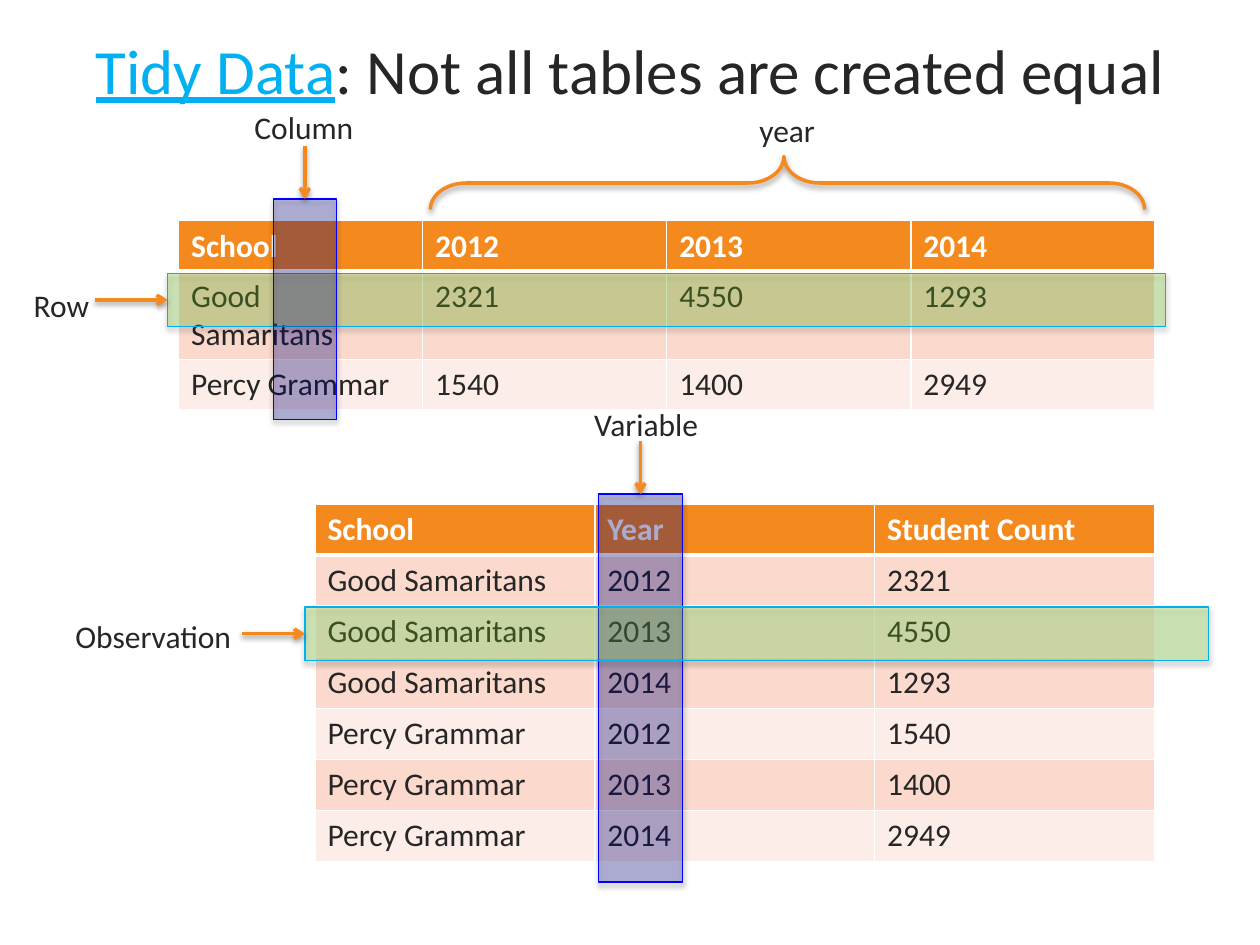
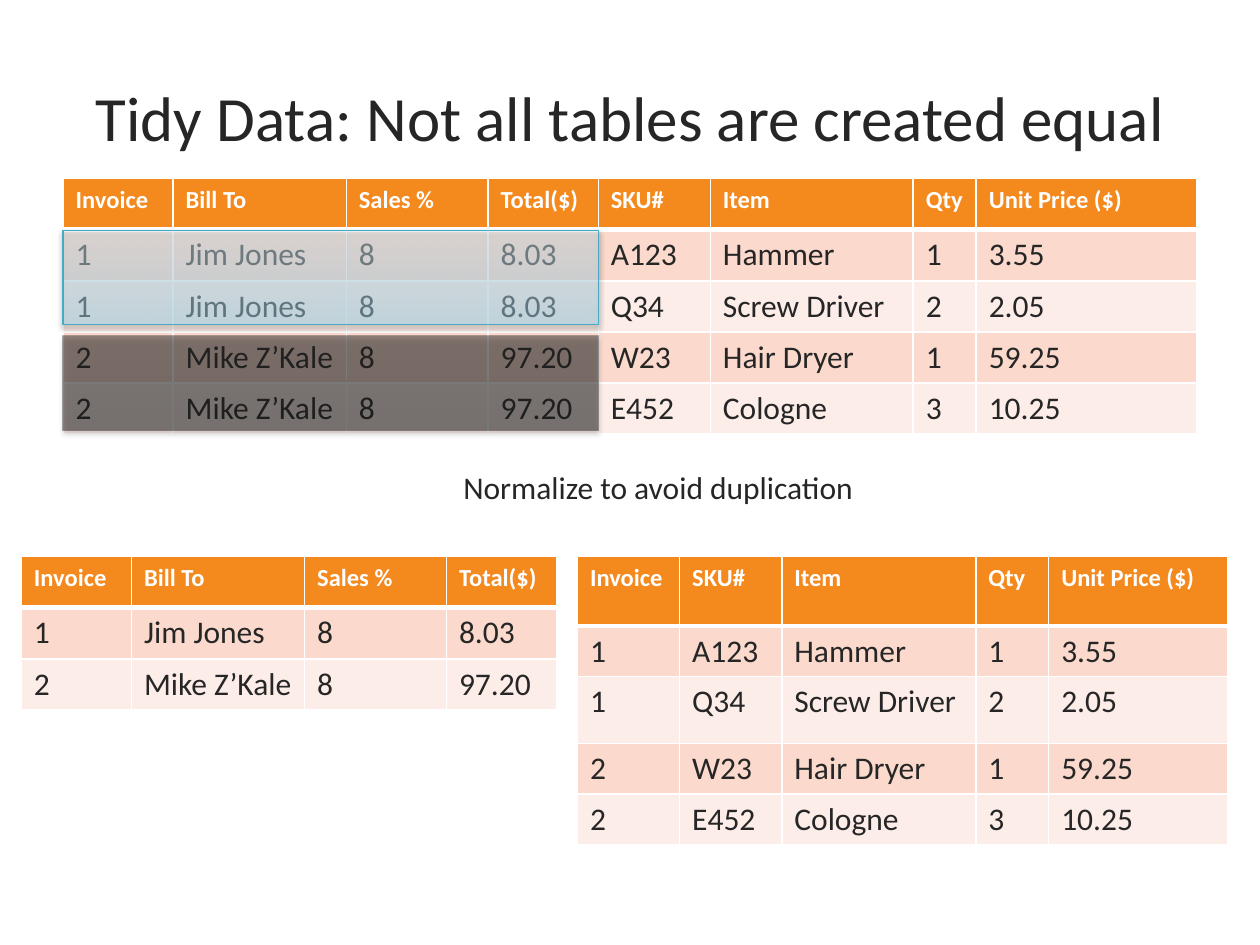
from dataclasses import dataclass
from typing import Optional, Sequence

from lxml.etree import SubElement
from pptx import Presentation
from pptx.dml.color import RGBColor
from pptx.enum.shapes import MSO_CONNECTOR as Connector, MSO_SHAPE as Preset
from pptx.enum.text import MSO_ANCHOR as Anchor, MSO_AUTO_SIZE as AutoSize, PP_ALIGN as Align
from pptx.oxml.ns import qn
from pptx.util import Cm, Pt

FONT = "Calibri"
INK, WHITE, ORANGE, SKY = "262626", "FFFFFF", "F4891E", "00B0F0"
BANDS = ("FBDACD", "FDEDE8")
ROW_HEIGHT = 1.03
TOP, LEFT = 0, 1

SCHOOL_HEADER = ("School", "2012", "2013", "2014")
SCHOOLS = (
    ("Good Samaritans", "2321", "4550", "1293"),
    ("Percy Grammar", "1540", "1400", "2949"),
)
INVOICE_HEADER = ("Invoice", "Bill To", "Sales %", "Total($)")
INVOICES = (
    ("1", "Jim Jones", "8", "8.03"),
    ("2", "Mike Z’Kale", "8", "97.20"),
)
ITEM_HEADER = ("Invoice", "SKU#", "Item", "Qty", "Unit Price ($)")
ITEMS = (
    ("1", "A123", "Hammer", "1", "3.55"),
    ("1", "Q34", "Screw Driver", "2", "2.05"),
    ("2", "W23", "Hair Dryer", "1", "59.25"),
    ("2", "E452", "Cologne", "3", "10.25"),
)
INVOICE_WIDTHS = (2.22, 3.49, 2.86, 2.22)


@dataclass(frozen=True)
class Box:
    left: float
    top: float
    width: float
    height: float

    def lengths(self) -> tuple:
        return Cm(self.left), Cm(self.top), Cm(self.width), Cm(self.height)


@dataclass(frozen=True)
class Shadow:
    opacity: int
    distance: float


@dataclass(frozen=True)
class Tint:
    stops: Sequence[tuple]
    opacity: int
    line: Optional[str]
    shadow: Shadow


@dataclass(frozen=True)
class Marker:
    box: Box
    tint: Tint
    side: int
    arrow_length: float
    label: str
    label_box: Box


LINE_SHADOW, FILL_SHADOW = Shadow(38, 1.6), Shadow(35, 1.8)
ROW_TINT = Tint([(0, "7BCF27")], 27, SKY, FILL_SHADOW)
COLUMN_TINT = Tint([(0, "000090")], 26, "0000FF", FILL_SHADOW)
FIRST_INVOICE_TINT = Tint([(0, "A7E6FF"), (35, "C1EDFF"), (100, "E7F8FF")], 43, "46AAC5", LINE_SHADOW)
SECOND_INVOICE_TINT = Tint([(0, "1C1C1C"), (80, "252525"), (100, "252525")], 50, None, FILL_SHADOW)

MARKERS = (
    Marker(Box(3.38, 5.51, 20.12, 1.07), ROW_TINT, LEFT, 1.47, "Row", Box(0.43, 5.64, 1.65, 1.02)),
    Marker(Box(12.06, 9.96, 1.7, 7.82), COLUMN_TINT, TOP, 1.07, "Variable", Box(11.73, 8.05, 2.67, 1.02)),
    Marker(Box(6.15, 12.24, 18.21, 1.07), ROW_TINT, LEFT, 1.27, "Observation", Box(1.27, 12.32, 3.71, 1.02)),
    Marker(Box(5.51, 4.01, 1.27, 4.45), COLUMN_TINT, TOP, 1.07, "Column", Box(4.88, 2.06, 2.51, 1.12)),
)


def colour(value: str) -> RGBColor:
    return RGBColor.from_string(value)


def add_run(paragraph, text: str, *, size=18, color=INK, bold=False, underline=False) -> None:
    run = paragraph.add_run()
    run.text = text
    font = run.font
    font.name, font.size, font.bold, font.underline = FONT, Pt(size), bold, underline
    font.color.rgb = colour(color)


def add_label(slide, box: Box, text: str) -> None:
    frame = slide.shapes.add_textbox(*box.lengths()).text_frame
    frame.word_wrap = False
    frame.auto_size = AutoSize.SHAPE_TO_FIT_TEXT
    add_run(frame.paragraphs[0], text)


def add_title(slide, top: float, subject_format: dict) -> None:
    frame = slide.shapes.add_textbox(*Box(1.27, top, 22.86, 3.18).lengths()).text_frame
    frame.word_wrap = True
    frame.vertical_anchor = Anchor.MIDDLE
    paragraph = frame.paragraphs[0]
    paragraph.alignment = Align.CENTER
    add_run(paragraph, "Tidy Data", size=36, **subject_format)
    add_run(paragraph, ": Not all tables are created equal", size=36)


def add_colour(parent, value: str, opacity: int) -> None:
    element = SubElement(parent, qn("a:srgbClr"), val=value)
    SubElement(element, qn("a:alpha"), val=str(opacity * 1000))


def add_shadow(shape, shadow: Shadow) -> None:
    effects = SubElement(shape.element.spPr, qn("a:effectLst"))
    outer = SubElement(
        effects, qn("a:outerShdw"), blurRad=str(Pt(3.1)), dist=str(Pt(shadow.distance)),
        dir="5400000", rotWithShape="0",
    )
    add_colour(outer, "000000", shadow.opacity)


def set_line(shape, color: str, width: float) -> None:
    shape.line.color.rgb = colour(color)
    shape.line.width = Pt(width)


def add_overlay(slide, box: Box, tint: Tint):
    shape = slide.shapes.add_shape(Preset.RECTANGLE, *box.lengths())
    properties = shape.element.spPr
    if len(tint.stops) == 1:
        shape.fill.solid()
        shape.fill.fore_color.rgb = colour(tint.stops[0][1])
        fill_colour = properties.find(f"{qn('a:solidFill')}/{qn('a:srgbClr')}")
        SubElement(fill_colour, qn("a:alpha"), val=str(tint.opacity * 1000))
    else:
        shape.fill.gradient()
        shape.fill.gradient_angle = 90
        stop_list = properties.find(f"{qn('a:gradFill')}/{qn('a:gsLst')}")
        for stop in list(stop_list):
            stop_list.remove(stop)
        for position, value in tint.stops:
            add_colour(SubElement(stop_list, qn("a:gs"), pos=str(position * 1000)), value, tint.opacity)
    if tint.line:
        set_line(shape, tint.line, 0.75)
    else:
        shape.line.fill.background()
    add_shadow(shape, tint.shadow)
    return shape


def add_marker(slide, marker: Marker) -> None:
    box = marker.box
    overlay = add_overlay(slide, box, marker.tint)
    if marker.side == TOP:
        end_x, end_y = box.left + box.width / 2, box.top
        start_x, start_y = end_x, end_y - marker.arrow_length
    else:
        end_x, end_y = box.left, box.top + box.height / 2
        start_x, start_y = end_x - marker.arrow_length, end_y
    arrow = slide.shapes.add_connector(
        Connector.STRAIGHT, Cm(start_x), Cm(start_y), Cm(end_x), Cm(end_y)
    )
    arrow.end_connect(overlay, marker.side)
    set_line(arrow, ORANGE, 2)
    SubElement(arrow.element.spPr.find(qn("a:ln")), qn("a:tailEnd"), type="arrow")
    add_shadow(arrow, LINE_SHADOW)
    add_label(slide, marker.label_box, marker.label)


def add_year_brace(slide) -> None:
    brace = slide.shapes.add_shape(Preset.LEFT_BRACE, *Box(15.34, -3.51, 1.07, 14.4).lengths())
    brace.rotation = 90
    brace.adjustments[0], brace.adjustments[1] = 0.673, 0.505
    brace.fill.background()
    set_line(brace, ORANGE, 2)
    add_shadow(brace, LINE_SHADOW)
    add_label(slide, Box(15.06, 2.11, 1.65, 1.02), "year")


def set_borders(cell, row_index: int) -> None:
    properties = cell._tc.get_or_add_tcPr()
    widths = {"L": 1, "R": 1, "T": 3 if row_index == 1 else 1, "B": 3 if row_index == 0 else 1}
    for side, width in widths.items():
        line = SubElement(properties, qn(f"a:ln{side}"), w=str(Pt(width)))
        SubElement(SubElement(line, qn("a:solidFill")), qn("a:srgbClr"), val=WHITE)


def add_data_table(
    slide, left: float, top: float, widths: Sequence[float], heights: Sequence[float],
    rows: Sequence[Sequence[str]], header_size: int = 18,
) -> None:
    box = Box(left, top, sum(widths), sum(heights))
    table = slide.shapes.add_table(len(rows), len(widths), *box.lengths()).table
    for column, width in zip(table.columns, widths):
        column.width = Cm(width)
    for row_index, (row, height, texts) in enumerate(zip(table.rows, heights, rows)):
        row.height = Cm(height)
        is_header = row_index == 0
        for cell, text in zip(row.cells, texts):
            set_borders(cell, row_index)
            cell.fill.solid()
            cell.fill.fore_color.rgb = colour(ORANGE if is_header else BANDS[(row_index - 1) % 2])
            add_run(
                cell.text_frame.paragraphs[0], text, bold=is_header,
                size=header_size if is_header else 18, color=WHITE if is_header else INK,
            )


def build_tidy_slide(slide) -> None:
    add_title(slide, -0.2, {"color": SKY, "underline": True})
    add_data_table(slide, 3.6, 4.45, [4.92] * 4, (0.79, 1.37, 0.79), [SCHOOL_HEADER, *SCHOOLS])
    add_year_brace(slide)
    tidy_rows = [("School", "Year", "Student Count")] + [
        (school, year, count)
        for school, *counts in SCHOOLS
        for year, count in zip(SCHOOL_HEADER[1:], counts)
    ]
    add_data_table(slide, 6.35, 10.16, [5.64] * 3, [ROW_HEIGHT] * 7, tidy_rows)
    for marker in MARKERS:
        add_marker(slide, marker)


def build_normalize_slide(slide) -> None:
    add_title(slide, 0.76, {})
    invoice_by_number = {invoice[0]: invoice for invoice in INVOICES}
    joined_rows = [INVOICE_HEADER + ITEM_HEADER[1:]] + [
        invoice_by_number[number] + tuple(details) for number, *details in ITEMS
    ]
    joined_widths = INVOICE_WIDTHS + (2.26, 4.09, 1.27, 4.45)
    add_data_table(slide, 1.27, 3.6, joined_widths, [ROW_HEIGHT] * 5, joined_rows, 14)
    for top, tint in ((4.65, FIRST_INVOICE_TINT), (6.77, SECOND_INVOICE_TINT)):
        add_overlay(slide, Box(1.27, top, sum(INVOICE_WIDTHS), 1.9), tint)
    add_data_table(
        slide, 0.43, 11.22, INVOICE_WIDTHS, [ROW_HEIGHT] * 3, [INVOICE_HEADER, *INVOICES], 14
    )
    add_data_table(
        slide, 11.64, 11.22, (2.06, 2.06, 3.91, 1.47, 3.61), (1.4, 0.99, 1.35, 0.99, 0.99),
        [ITEM_HEADER, *ITEMS], 14,
    )
    add_label(slide, Box(9.09, 9.32, 8.51, 1.02), "Normalize to avoid duplication")


def main() -> None:
    presentation = Presentation()
    presentation.slide_width, presentation.slide_height = Cm(25.4), Cm(19.05)
    blank_layout = presentation.slide_layouts[6]
    for build in (build_tidy_slide, build_normalize_slide):
        build(presentation.slides.add_slide(blank_layout))
    presentation.save("out.pptx")


if __name__ == "__main__":
    main()
